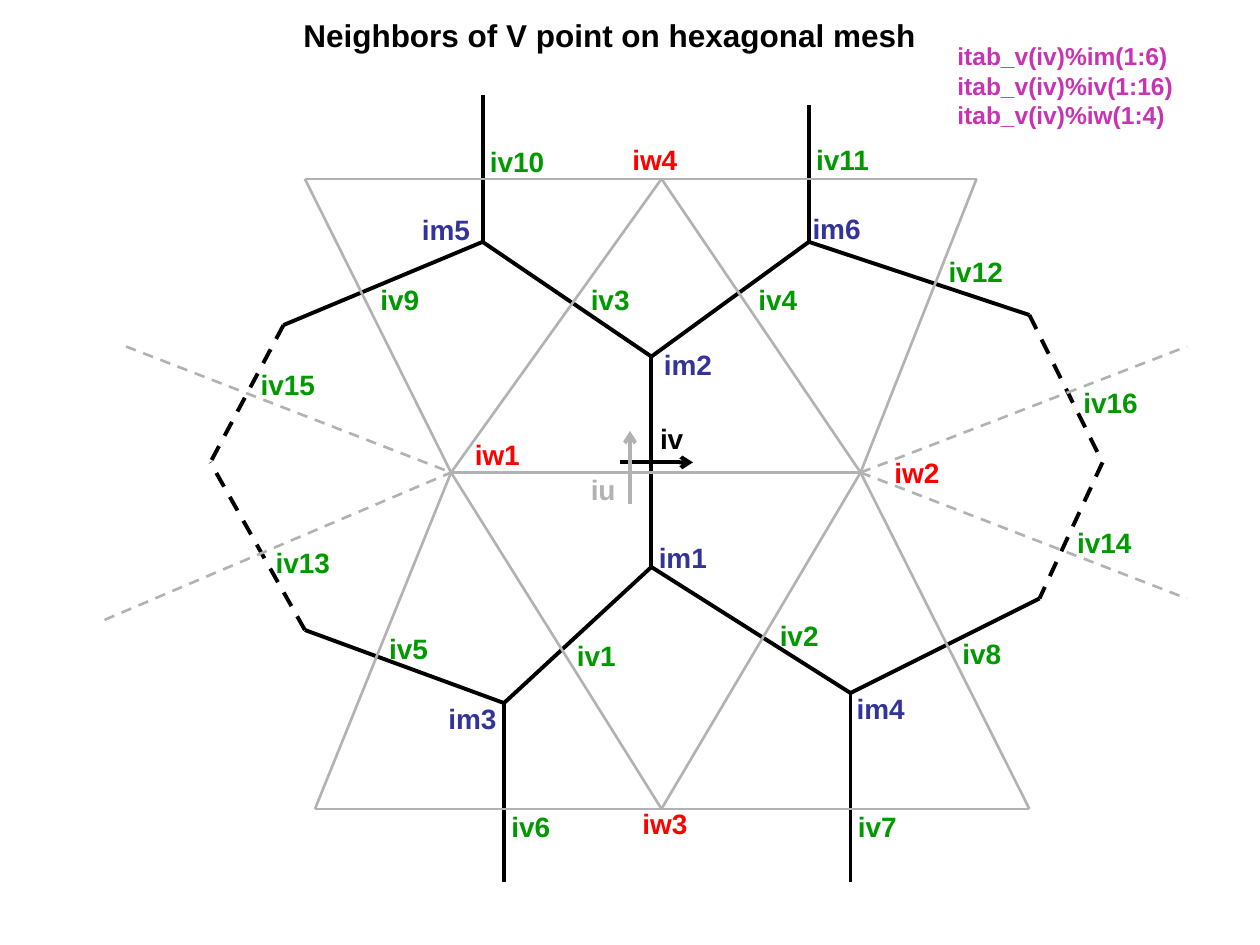
from lxml.etree import SubElement
from pptx import Presentation
from pptx.dml.color import RGBColor
from pptx.enum.dml import MSO_LINE_DASH_STYLE as Dash
from pptx.enum.shapes import MSO_CONNECTOR as Connector
from pptx.enum.text import MSO_AUTO_SIZE as AutoSize
from pptx.oxml.ns import qn
from pptx.util import Cm, Pt

BLACK = RGBColor(0x00, 0x00, 0x00)
GRAY = RGBColor(0xB2, 0xB2, 0xB2)
BLUE = RGBColor(0x33, 0x33, 0x99)
GREEN = RGBColor(0x00, 0x99, 0x00)
RED = RGBColor(0xFF, 0x00, 0x00)
MAGENTA = RGBColor(0xC7, 0x33, 0xB2)

# Mesh points on the slide, in inches
POINTS = {
    # hexagon corners
    "im1": (5.17, 4.5), "im2": (5.17, 2.83), "im3": (4, 5.58),
    "im4": (6.75, 5.5), "im5": (3.83, 1.92), "im6": (6.42, 1.92),
    "upper left": (2.25, 2.58), "far left": (1.67, 3.67), "lower left": (2.42, 5),
    "upper right": (8.17, 2.5), "far right": (8.75, 3.67), "lower right": (8.25, 4.75),
    # outer ends of the upright edges
    "below im3": (4, 7), "below im4": (6.75, 7),
    "above im5": (3.83, 0.75), "above im6": (6.42, 0.83),
    # hexagon centers
    "iw1": (3.58, 3.75), "iw2": (6.83, 3.75), "iw3": (5.25, 6.42), "iw4": (5.25, 1.42),
    "top left": (2.42, 1.42), "top right": (7.75, 1.42),
    "bottom left": (2.5, 6.42), "bottom right": (8.17, 6.42),
    # outer ends of the dashed triangle sides
    "left upper end": (1, 2.75), "left lower end": (0.83, 4.92),
    "right upper end": (9.42, 2.75), "right lower end": (9.42, 4.75),
    # arrow ends
    "iv tail": (4.92, 3.67), "iv head": (5.5, 3.67),
    "iu tail": (5, 4), "iu head": (5, 3.42),
}

HEXAGON_EDGES = [
    ("im2", "im1"), ("im1", "im3"), ("im5", "im2"), ("im6", "im2"),
    ("im5", "upper left"), ("lower left", "im3"), ("im6", "upper right"),
    ("im1", "im4"), ("lower right", "im4"), ("im3", "below im3"),
    ("im4", "below im4"), ("above im5", "im5"), ("above im6", "im6"),
]
HEXAGON_DASHES = [
    ("upper left", "far left"), ("lower left", "far left"),
    ("upper right", "far right"), ("far right", "lower right"),
]
TRIANGLE_SIDES = [
    ("iw1", "iw2"), ("iw4", "iw2"), ("bottom left", "iw3"), ("bottom left", "iw1"),
    ("iw1", "iw4"), ("top left", "iw4"), ("top left", "iw1"), ("iw4", "top right"),
    ("iw2", "top right"), ("iw1", "iw3"), ("iw2", "iw3"), ("iw2", "bottom right"),
    ("iw3", "bottom right"),
]
TRIANGLE_DASHES = [
    ("left upper end", "iw1"), ("left lower end", "iw1"),
    ("iw2", "right lower end"), ("iw2", "right upper end"),
]

# Labels: color, then left and top of each box in inches
LABELS = [
    (BLACK, {"iv": (5.14, 3.3)}),
    (GRAY, {"iu": (4.59, 3.7)}),
    (BLUE, {"im1": (5.13, 4.24), "im2": (5.17, 2.71), "im3": (3.46, 5.52),
            "im4": (6.7, 5.44), "im5": (3.25, 1.64), "im6": (6.35, 1.63)}),
    (GREEN, {"iv1": (4.48, 5.02), "iv2": (6.09, 4.86), "iv3": (4.59, 2.19),
             "iv4": (5.92, 2.19), "iv5": (2.99, 4.96), "iv6": (3.96, 6.38),
             "iv7": (6.71, 6.38), "iv8": (7.54, 5), "iv9": (2.92, 2.19),
             "iv10": (3.79, 1.1), "iv11": (6.38, 1.08), "iv12": (7.43, 1.97),
             "iv13": (2.09, 4.28), "iv14": (8.45, 4.12), "iv15": (1.97, 2.87),
             "iv16": (8.5, 3.01)}),
    (RED, {"iw1": (3.67, 3.42), "iw2": (7, 3.57), "iw3": (5, 6.35), "iw4": (4.92, 1.08)}),
]
# Box widths, with a little room so that no label breaks
PREFIX_WIDTHS = {"iv": 0.4, "iu": 0.42, "im": 0.46, "iw": 0.44}
DIGIT_WIDTH = 0.12

TITLE = "Neighbors of V point on hexagonal mesh"
TABLES = ["itab_v(iv)%im(1:6)", "itab_v(iv)%iv(1:16)", "itab_v(iv)%iw(1:4)"]


def inches(value):
    return Cm(value * 2.54)


def add_line(page, ends, color, weight, dashed=False, arrow=False):
    corners = [inches(value) for name in ends for value in POINTS[name]]
    line = page.shapes.add_connector(Connector.STRAIGHT, *corners)
    line.line.color.rgb = color
    line.line.width = Pt(weight)
    if dashed:
        line.line.dash_style = Dash.DASH
    if arrow:
        SubElement(line.line._get_or_add_ln(), qn("a:tailEnd"), type="arrow")
    SubElement(line._element.spPr, qn("a:effectLst"))


def add_text(page, lines, place, size, color):
    box = page.shapes.add_textbox(*map(inches, place))
    frame = box.text_frame
    frame.word_wrap = False
    frame.auto_size = AutoSize.SHAPE_TO_FIT_TEXT
    for number, line in enumerate(lines):
        para = frame.add_paragraph() if number else frame.paragraphs[0]
        span = para.add_run()
        span.text = line
        span.font.name = "Arial"
        span.font.size = Pt(size)
        span.font.bold = True
        span.font.color.rgb = color


def main():
    deck = Presentation()
    deck.slide_width, deck.slide_height = Cm(25.4), Cm(19.05)
    page = deck.slides.add_slide(deck.slide_layouts[6])

    # Hexagons first, triangles over them
    for edges, color, weight, dashed in [
        (HEXAGON_EDGES, BLACK, 2.25, False),
        (HEXAGON_DASHES, BLACK, 2.25, True),
        (TRIANGLE_SIDES, GRAY, 1.5, False),
        (TRIANGLE_DASHES, GRAY, 1.5, True),
    ]:
        for ends in edges:
            add_line(page, ends, color, weight, dashed)

    # Direction arrows
    for name, color in [("iv", BLACK), ("iu", GRAY)]:
        add_line(page, (f"{name} tail", f"{name} head"), color, 2.25, arrow=True)

    # Point labels
    for color, places in LABELS:
        for name, (left, top) in places.items():
            width = PREFIX_WIDTHS[name[:2]] + DIGIT_WIDTH * len(name[2:])
            add_text(page, [name], (left, top, width, 0.37), 16, color)

    # Title and index tables
    add_text(page, [TITLE], (2.31, 0.08, 5.06, 0.4), 18, BLACK)
    add_text(page, TABLES, (7.5, 0.28, 1.92, 0.8), 14, MAGENTA)

    deck.save("out.pptx")


if __name__ == "__main__":
    main()
